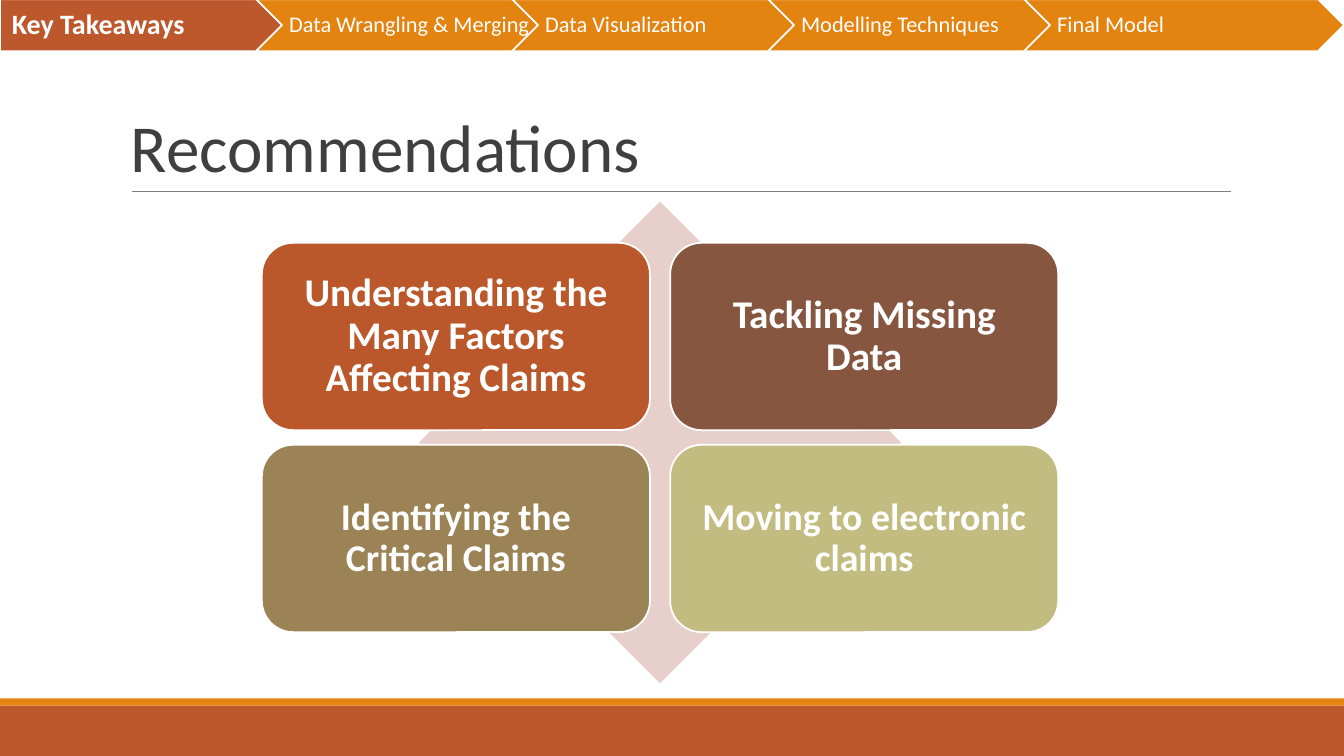
from dataclasses import dataclass

from lxml import etree
from pptx import Presentation
from pptx.dml.color import RGBColor
from pptx.enum.shapes import MSO_CONNECTOR, MSO_SHAPE
from pptx.enum.text import MSO_ANCHOR, PP_ALIGN
from pptx.oxml.ns import qn
from pptx.util import Cm, Pt

RECTANGLE = MSO_SHAPE.RECTANGLE
PENTAGON = MSO_SHAPE.PENTAGON
CHEVRON = MSO_SHAPE.CHEVRON
DIAMOND = MSO_SHAPE.DIAMOND
ROUNDED = MSO_SHAPE.ROUNDED_RECTANGLE
STRAIGHT = MSO_CONNECTOR.STRAIGHT
LEFT, CENTER = PP_ALIGN.LEFT, PP_ALIGN.CENTER
MIDDLE, BOTTOM = MSO_ANCHOR.MIDDLE, MSO_ANCHOR.BOTTOM


@dataclass(frozen=True)
class Theme:
    font: str = "Calibri"
    white: str = "FFFFFF"
    heading: str = "3F3F3F"
    rule: str = "7F7F7F"
    rust: str = "BD582C"
    orange: str = "E48312"
    step: str = "E38310"
    backdrop: str = "E7D0CB"
    heading_size: float = 48
    current_size: float = 20
    step_size: float = 16
    upper_size: float = 28
    lower_size: float = 27
    outline: float = 1.25
    hairline: float = 0.75


@dataclass(frozen=True)
class Box:
    left: float
    top: float
    width: float
    height: float

    def lengths(self):
        return [Cm(v) for v in (self.left, self.top, self.width, self.height)]


THEME = Theme()
STEPS = ["Key Takeaways", "Data Wrangling & Merging", "Data Visualization",
         "Modelling Techniques", "Final Model"]
RECOMMENDATIONS = [
    ("Understanding the Many Factors Affecting Claims", "BB582B", THEME.upper_size),
    ("Tackling Missing Data", "865640", THEME.upper_size),
    ("Identifying the Critical Claims", "9B8355", THEME.lower_size),
    ("Moving to electronic claims", "C2BC80", THEME.lower_size),
]


def add_block(slide, kind, box, fill, outlined=False):
    block = slide.shapes.add_shape(kind, *box.lengths())
    block.shadow.inherit = False
    block.fill.solid()
    block.fill.fore_color.rgb = RGBColor.from_string(fill)
    if outlined:
        block.line.color.rgb = RGBColor.from_string(THEME.white)
        block.line.width = Pt(THEME.outline)
    else:
        block.line.fill.background()
    return block


def write(frame, words, size, color=THEME.white, bold=False, align=LEFT,
          anchor=MIDDLE, spacing=0.9, insets=(0.25, 0.13, 0.25, 0.13)):
    sides = ("margin_left", "margin_top", "margin_right", "margin_bottom")
    frame_format = dict(zip(sides, map(Cm, insets)))
    frame_format.update(word_wrap=True, vertical_anchor=anchor)
    paragraph = frame.paragraphs[0]
    run = paragraph.add_run()
    run.text = words
    run.font.color.rgb = RGBColor.from_string(color)
    formats = (
        (frame, frame_format),
        (paragraph, {"alignment": align, "line_spacing": spacing}),
        (run.font, {"name": THEME.font, "size": Pt(size), "bold": bold}),
    )
    for target, values in formats:
        for attribute, value in values.items():
            setattr(target, attribute, value)


def add_footer(slide, box):
    stripe = 0.18
    add_block(slide, RECTANGLE,
              Box(box.left, box.top + stripe, box.width, box.height - stripe), THEME.rust)
    add_block(slide, RECTANGLE, Box(box.left, box.top, box.width, stripe), THEME.orange)


def add_progress(slide, box):
    overlap = 1.61
    width = (box.width + overlap * (len(STEPS) - 1)) / len(STEPS)
    for index, step in enumerate(STEPS):
        current = index == 0
        left = box.left + index * (width - overlap)
        arrow = add_block(slide, PENTAGON if current else CHEVRON,
                          Box(left, box.top, width, box.height),
                          THEME.rust if current else THEME.step, outlined=True)
        arrow.adjustments[0] = 0.5
        write(arrow.text_frame, step,
              THEME.current_size if current else THEME.step_size, bold=current,
              insets=(0.3, 0.15, 0.08, 0.15) if current else (0.18, 0.13, 0.05, 0.13))


def add_heading(slide, box):
    heading = slide.shapes.add_textbox(*box.lengths())
    write(heading.text_frame, "Recommendations", THEME.heading_size,
          color=THEME.heading, anchor=BOTTOM, spacing=0.85)
    left, baseline = box.left + 0.28, box.top + box.height
    rule = slide.shapes.add_connector(STRAIGHT, Cm(left), Cm(baseline),
                                      Cm(left + 27.68), Cm(baseline))
    rule.line.color.rgb = RGBColor.from_string(THEME.rule)
    rule.line.width = Pt(THEME.hairline)
    etree.SubElement(rule.element.spPr, qn("a:effectLst"))


def add_matrix(slide, box):
    card_width, card_height = 9.78, 4.72
    column_step, row_step = 10.29, 5.09
    side = box.height
    add_block(slide, DIAMOND,
              Box(box.left + (box.width - side) / 2, box.top, side, side), THEME.backdrop)
    for index, (words, fill, size) in enumerate(RECOMMENDATIONS):
        row, column = divmod(index, 2)
        card = add_block(slide, ROUNDED,
                         Box(box.left + column * column_step,
                             box.top + 1.04 + row * row_step,
                             card_width, card_height), fill, outlined=True)
        card.adjustments[0] = 0.167
        write(card.text_frame, words, size, bold=True, align=CENTER, insets=(0.3,) * 4)


def main():
    deck = Presentation()
    deck.slide_width, deck.slide_height = Cm(33.87), Cm(19.05)
    slide = deck.slides.add_slide(deck.slide_layouts[6])
    add_footer(slide, Box(0, 17.6, 33.87, 1.45))
    add_progress(slide, Box(0, -0.02, 33.87, 1.31))
    add_heading(slide, Box(3.05, 0.78, 27.94, 4.04))
    add_matrix(slide, Box(6.6, 5.08, 20.07, 12.14))
    deck.save("out.pptx")


if __name__ == "__main__":
    main()
